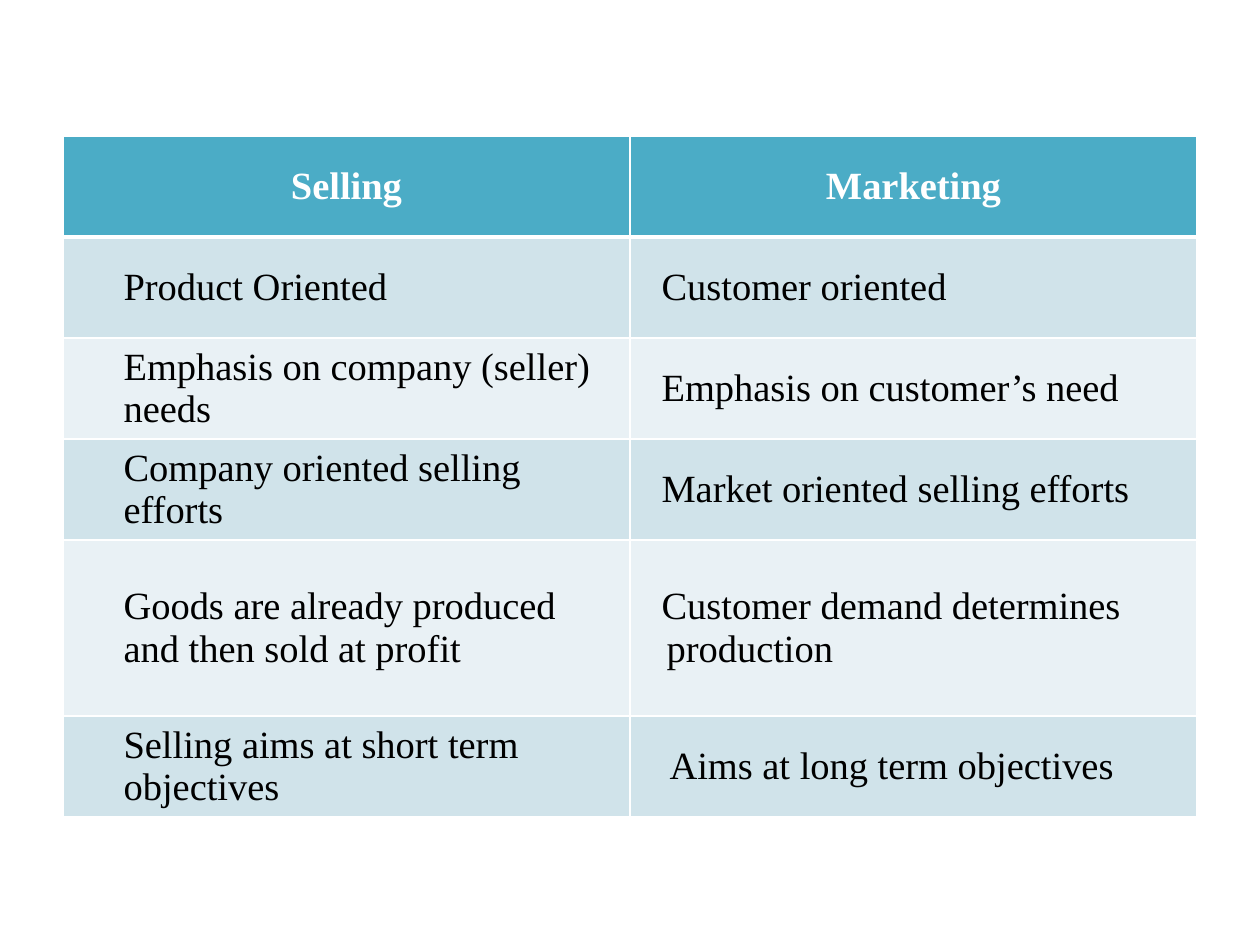
from dataclasses import dataclass

from lxml.etree import SubElement
from pptx import Presentation
from pptx.dml.color import RGBColor
from pptx.enum.text import MSO_ANCHOR as Anchor, PP_ALIGN as Align
from pptx.oxml.ns import qn
from pptx.util import Pt

EMU_PER_PX = 914400 / 126


@dataclass(frozen=True)
class Theme:
    font: str = "Times New Roman"
    size: int = 22
    white: str = "FFFFFF"
    text: str = "000000"
    header: str = "4BACC6"
    bands: tuple = ("D0E3EA", "E9F1F5")
    line: int = 1
    header_line: int = 3


THEME = Theme()
HEADINGS = ("Selling", "Marketing")
COMPARISON = (
    ("Product Oriented", "Customer oriented"),
    ("Emphasis on company (seller) needs", "Emphasis on customer’s need"),
    ("Company oriented selling efforts", "Market oriented selling efforts"),
    ("Goods are already produced and then sold at profit",
     "Customer demand determines production"),
    ("Selling aims at short term objectives", "Aims at long term objectives"),
)
COL_WIDTH = 567
ROW_HEIGHTS = (101, 101, 101, 101, 176, 101)
INDENTS = (48, 19)  # left indent of each column's body text
# Cells whose (left margin, first-line indent) differ from their column
SPECIAL_INDENTS = {(4, 1): (24, -5), (5, 1): (27, 0)}


def px(n):
    return round(n * EMU_PER_PX)


def write(cell, text, color=THEME.text, bold=False, align=Align.LEFT,
          left=0, first=0):
    cell.vertical_anchor = Anchor.MIDDLE
    p = cell.text_frame.paragraphs[0]
    p.alignment = align
    pPr = p._p.get_or_add_pPr()
    pPr.set("marL", str(px(left)))
    pPr.set("indent", str(px(first)))
    r = p.add_run()
    r.text = text
    r.font.name = THEME.font
    r.font.size = Pt(THEME.size)
    r.font.bold = bold
    r.font.color.rgb = RGBColor.from_string(color)


def paint(cell, fill, top, bottom):
    """Fill a cell and draw its borders; top and bottom are widths in points."""
    cell.fill.solid()
    cell.fill.fore_color.rgb = RGBColor.from_string(fill)
    tcPr = cell._tc.get_or_add_tcPr()
    widths = (("lnL", THEME.line), ("lnR", THEME.line),
              ("lnT", top), ("lnB", bottom))
    for i, (side, width) in enumerate(widths):
        ln = SubElement(tcPr, qn(f"a:{side}"), w=str(Pt(width)))
        solid = SubElement(ln, qn("a:solidFill"))
        SubElement(solid, qn("a:srgbClr"), val=THEME.white)
        tcPr.insert(i, ln)  # borders come before the fill


def add_comparison(slide, left, top):
    shape = slide.shapes.add_table(
        len(ROW_HEIGHTS), len(HEADINGS), px(left), px(top),
        px(COL_WIDTH * len(HEADINGS)), px(sum(ROW_HEIGHTS)))
    table = shape.table
    for col in table.columns:
        col.width = px(COL_WIDTH)
    for row, height in zip(table.rows, ROW_HEIGHTS):
        row.height = px(height)

    # Header row
    for c, heading in enumerate(HEADINGS):
        cell = table.cell(0, c)
        write(cell, heading, color=THEME.white, bold=True, align=Align.CENTER)
        paint(cell, THEME.header, THEME.line, THEME.header_line)

    # Body rows in alternating bands
    for r, texts in enumerate(COMPARISON, start=1):
        for c, text in enumerate(texts):
            cell = table.cell(r, c)
            left_margin, first = SPECIAL_INDENTS.get((r, c), (INDENTS[c], 0))
            write(cell, text, left=left_margin, first=first)
            paint(cell, THEME.bands[(r - 1) % 2],
                  THEME.header_line if r == 1 else THEME.line, THEME.line)


def main():
    prs = Presentation()
    prs.slide_width, prs.slide_height = px(1260), px(945)
    slide = prs.slides.add_slide(prs.slide_layouts[6])
    add_comparison(slide, 63, 136)
    prs.save("out.pptx")


if __name__ == "__main__":
    main()
